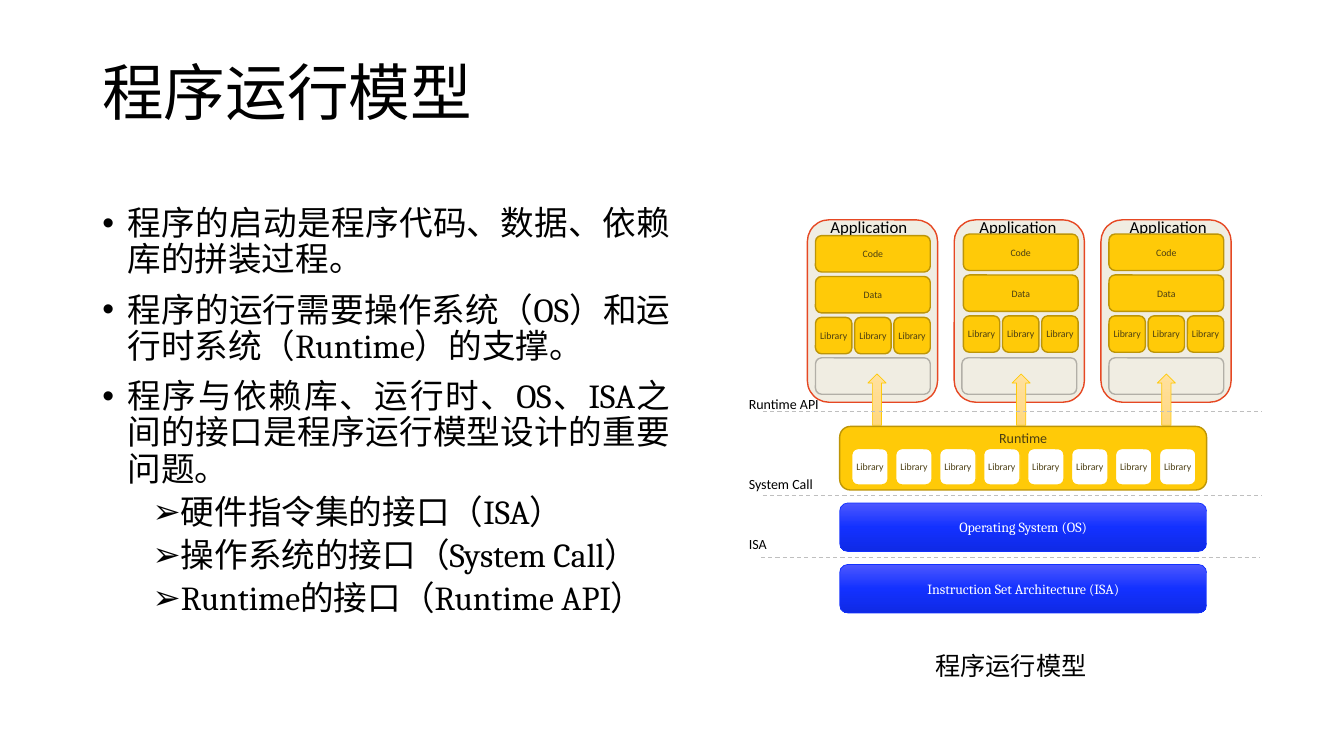
import copy
from dataclasses import dataclass
from typing import Optional

import pptx
import pptx.dml.color
import pptx.enum.dml
import pptx.enum.shapes
import pptx.enum.text
import pptx.oxml.ns
import pptx.util
from lxml import etree

Pt = pptx.util.Pt
Align = pptx.enum.text.PP_ALIGN
Anchor = pptx.enum.text.MSO_ANCHOR
Preset = pptx.enum.shapes.MSO_SHAPE


@dataclass(frozen=True)
class Theme:
    serif: str = "Cambria"
    sans: str = "Calibri"
    black: str = "000000"
    white: str = "FFFFFF"
    brown: str = "4B3E12"
    gold: str = "FFCA08"
    dark_gold: str = "BD9506"
    cream: str = "F0EDE2"
    grey: str = "B2AFA7"
    red: str = "E64823"
    blue: str = "1331FF"
    dash: str = "BFBFBF"
    blue_gradient: tuple[str, ...] = ("4D58FF", "1331FF", "0F2AE5")
    gold_gradient: tuple[str, ...] = ("FFE19F", "FFDC91", "FFD87D")
    title_size: float = 44
    body_size: float = 24
    caption_size: float = 18
    application_size: float = 12
    layer_size: float = 10
    block_size: float = 7


THEME = Theme()


@dataclass(frozen=True)
class Box:
    left: float
    top: float
    width: float
    height: float

    def lengths(self) -> tuple[int, ...]:
        return Pt(self.left), Pt(self.top), Pt(self.width), Pt(self.height)


@dataclass(frozen=True)
class TextStyle:
    size: float
    font: str = THEME.sans
    color: str = THEME.black


@dataclass(frozen=True)
class ShapeStyle:
    fill: tuple[str, ...]
    line: str
    line_width: float = 1
    text: Optional[TextStyle] = None
    margins: tuple[float, ...] = (0, 0, 0, 0)
    anchor: Anchor = Anchor.MIDDLE


@dataclass(frozen=True)
class Application:
    frame_left: float
    label_left: float
    block_left: float
    block_top: float
    slot_left: float
    arrow_left: float


@dataclass(frozen=True)
class Boundary:
    label: str
    label_top: float
    label_width: float
    line_left: float
    line_top: float


@dataclass(frozen=True)
class Bullet:
    text: str
    level: int = 0


BLOCK_TEXT = TextStyle(THEME.block_size, color=THEME.brown)
RUNTIME_TEXT = TextStyle(THEME.layer_size, color=THEME.brown)
SYSTEM_TEXT = TextStyle(THEME.layer_size, THEME.serif, THEME.white)
FRAME = ShapeStyle((THEME.cream,), THEME.red)
SLOT = ShapeStyle((THEME.cream,), THEME.grey)
BLOCK = ShapeStyle((THEME.gold,), THEME.dark_gold, text=BLOCK_TEXT)
RUNTIME = ShapeStyle((THEME.gold,), THEME.dark_gold, text=RUNTIME_TEXT, margins=(7.2, 0, 7.2, 3.6), anchor=Anchor.TOP)
RUNTIME_LIBRARY = ShapeStyle((THEME.white,), THEME.gold, text=BLOCK_TEXT)
SYSTEM = ShapeStyle(THEME.blue_gradient, THEME.blue, 0.5, SYSTEM_TEXT, (7.2, 3.6, 7.2, 3.6))
ARROW = ShapeStyle(THEME.gold_gradient, THEME.gold, 0.5)

BULLETS = (
    Bullet("程序的启动是程序代码、数据、依赖库的拼装过程。"),
    Bullet("程序的运行需要操作系统（OS）和运行时系统（Runtime）的支撑。"),
    Bullet("程序与依赖库、运行时、OS、ISA之间的接口是程序运行模型设计的重要问题。"),
    Bullet("硬件指令集的接口（ISA）", 1),
    Bullet("操作系统的接口（System Call）", 1),
    Bullet("Runtime的接口（Runtime API）", 1),
)
APPLICATIONS = (
    Application(576.7, 586.1, 582.5, 168.3, 582.5, 619.9),
    Application(681.6, 692.6, 688.1, 167.2, 687.1, 722.9),
    Application(786.4, 799.9, 792.1, 167.2, 792.1, 826.6),
)
BOUNDARIES = (
    Boundary("Runtime API", 278.8, 65, 545, 293.8),
    Boundary("System Call", 336.4, 61, 545, 353.6),
    Boundary("ISA", 378.7, 27.6, 543.6, 398.2),
)
BLOCK_SIDE = 26
BLOCK_WIDTH = 82
LIBRARY_STEP = (BLOCK_WIDTH - BLOCK_SIDE) / 2
ROW_STEP = 29.2
RUNTIME_STEP = 31.4
BOUNDARY_WIDTH = 356.4


def rgb(color: str) -> pptx.dml.color.RGBColor:
    return pptx.dml.color.RGBColor.from_string(color)


def style_paragraph(paragraph, style: TextStyle) -> None:
    paragraph.font.size = Pt(style.size)
    paragraph.font.name = style.font
    paragraph.font.color.rgb = rgb(style.color)


def fill_shape(shape, colors: tuple[str, ...]) -> None:
    if len(colors) == 1:
        shape.fill.solid()
        shape.fill.fore_color.rgb = rgb(colors[0])
        return
    shape.fill.gradient()
    shape.fill.gradient_angle = 270
    stop_list = next(shape._element.iter(pptx.oxml.ns.qn("a:gsLst")))
    stop_list.append(copy.deepcopy(stop_list[0]))
    for index, (stop, color) in enumerate(zip(shape.fill.gradient_stops, colors)):
        stop.color.rgb = rgb(color)
        stop.position = index / (len(colors) - 1)


def draw_shape(slide, box: Box, style: ShapeStyle, text: str = "", preset: Preset = Preset.ROUNDED_RECTANGLE) -> None:
    shape = slide.shapes.add_shape(preset, *box.lengths())
    shape.shadow.inherit = False
    fill_shape(shape, style.fill)
    shape.line.color.rgb = rgb(style.line)
    shape.line.width = Pt(style.line_width)
    if style.text:
        frame = shape.text_frame
        frame.margin_left, frame.margin_top, frame.margin_right, frame.margin_bottom = map(Pt, style.margins)
        frame.vertical_anchor = style.anchor
        frame.text = text
        frame.paragraphs[0].alignment = Align.CENTER
        style_paragraph(frame.paragraphs[0], style.text)


def draw_text(slide, box: Box, text: str, style: TextStyle, wrap: bool = False):
    frame = slide.shapes.add_textbox(*box.lengths()).text_frame
    frame.word_wrap = wrap
    frame.text = text
    style_paragraph(frame.paragraphs[0], style)
    return frame


def draw_title(slide) -> None:
    style = TextStyle(THEME.title_size, THEME.serif)
    frame = draw_text(slide, Box(66, 28.8, 828, 79.2), "程序运行模型", style, wrap=True)
    frame.vertical_anchor = Anchor.MIDDLE
    frame.paragraphs[0].line_spacing = 0.9


def draw_bullets(slide) -> None:
    frame = slide.shapes.add_textbox(*Box(66, 144, 420, 342.7).lengths()).text_frame
    frame.word_wrap = True
    for index, bullet in enumerate(BULLETS):
        paragraph = frame.add_paragraph() if index else frame.paragraphs[0]
        paragraph.text = bullet.text
        paragraph.level = bullet.level
        paragraph.alignment = Align.JUSTIFY
        paragraph.line_spacing = 0.9
        paragraph.space_before = Pt((5 if bullet.level else 10) if index else 0)
        properties = paragraph._p.get_or_add_pPr()
        properties.set("marL", str(Pt(18 + 36 * bullet.level)))
        properties.set("indent", str(Pt(-18)))
        etree.SubElement(properties, pptx.oxml.ns.qn("a:buFont")).set("typeface", "Arial")
        etree.SubElement(properties, pptx.oxml.ns.qn("a:buChar")).set("char", "•➢"[bullet.level])
        style_paragraph(paragraph, TextStyle(THEME.body_size, THEME.serif))


def draw_application(slide, application: Application) -> None:
    left, top = application.block_left, application.block_top
    draw_shape(slide, Box(application.frame_left, 157, 93, 130.3), FRAME)
    draw_shape(slide, Box(application.slot_left, 255.6, BLOCK_WIDTH, BLOCK_SIDE), SLOT)
    draw_text(slide, Box(application.label_left, 151.2, 69.8, 21.6), "Application", TextStyle(THEME.application_size))
    for row, name in enumerate(("Code", "Data")):
        draw_shape(slide, Box(left, top + row * ROW_STEP, BLOCK_WIDTH, BLOCK_SIDE), BLOCK, name)
    for column in range(3):
        box = Box(left + column * LIBRARY_STEP, top + 2 * ROW_STEP, BLOCK_SIDE, BLOCK_SIDE)
        draw_shape(slide, box, BLOCK, "Library")
    draw_shape(slide, Box(application.arrow_left, 267.1, 13, 36.7), ARROW, preset=Preset.UP_ARROW)


def draw_layers(slide) -> None:
    draw_shape(slide, Box(599.8, 304.6, 262.1, 45.4), RUNTIME, "Runtime")
    for column in range(8):
        box = Box(608.4 + column * RUNTIME_STEP, 320.4, BLOCK_SIDE, BLOCK_SIDE)
        draw_shape(slide, box, RUNTIME_LIBRARY, "Library")
    draw_shape(slide, Box(599.8, 359.3, 262.1, 34.6), SYSTEM, "Operating System (OS)")
    draw_shape(slide, Box(599.8, 403.2, 262.1, 34.6), SYSTEM, "Instruction Set Architecture (ISA)")


def draw_boundary(slide, boundary: Boundary) -> None:
    left, top = Pt(boundary.line_left), Pt(boundary.line_top)
    right = Pt(boundary.line_left + BOUNDARY_WIDTH)
    connector = slide.shapes.add_connector(pptx.enum.shapes.MSO_CONNECTOR.STRAIGHT, left, top, right, top)
    connector.line.color.rgb = rgb(THEME.dash)
    connector.line.width = Pt(0.75)
    connector.line.dash_style = pptx.enum.dml.MSO_LINE.DASH
    etree.SubElement(connector._element.spPr, pptx.oxml.ns.qn("a:effectLst"))
    label_box = Box(527.8, boundary.label_top, boundary.label_width, 19.4)
    draw_text(slide, label_box, boundary.label, TextStyle(THEME.layer_size))


def main() -> None:
    presentation = pptx.Presentation()
    presentation.slide_width, presentation.slide_height = Pt(960), Pt(540)
    slide = presentation.slides.add_slide(presentation.slide_layouts[6])
    draw_title(slide)
    draw_bullets(slide)
    draw_text(slide, Box(661, 460.8, 123.8, 28.8), "程序运行模型", TextStyle(THEME.caption_size))
    for application in APPLICATIONS:
        draw_application(slide, application)
    draw_layers(slide)
    for boundary in BOUNDARIES:
        draw_boundary(slide, boundary)
    presentation.save("out.pptx")


if __name__ == "__main__":
    main()
